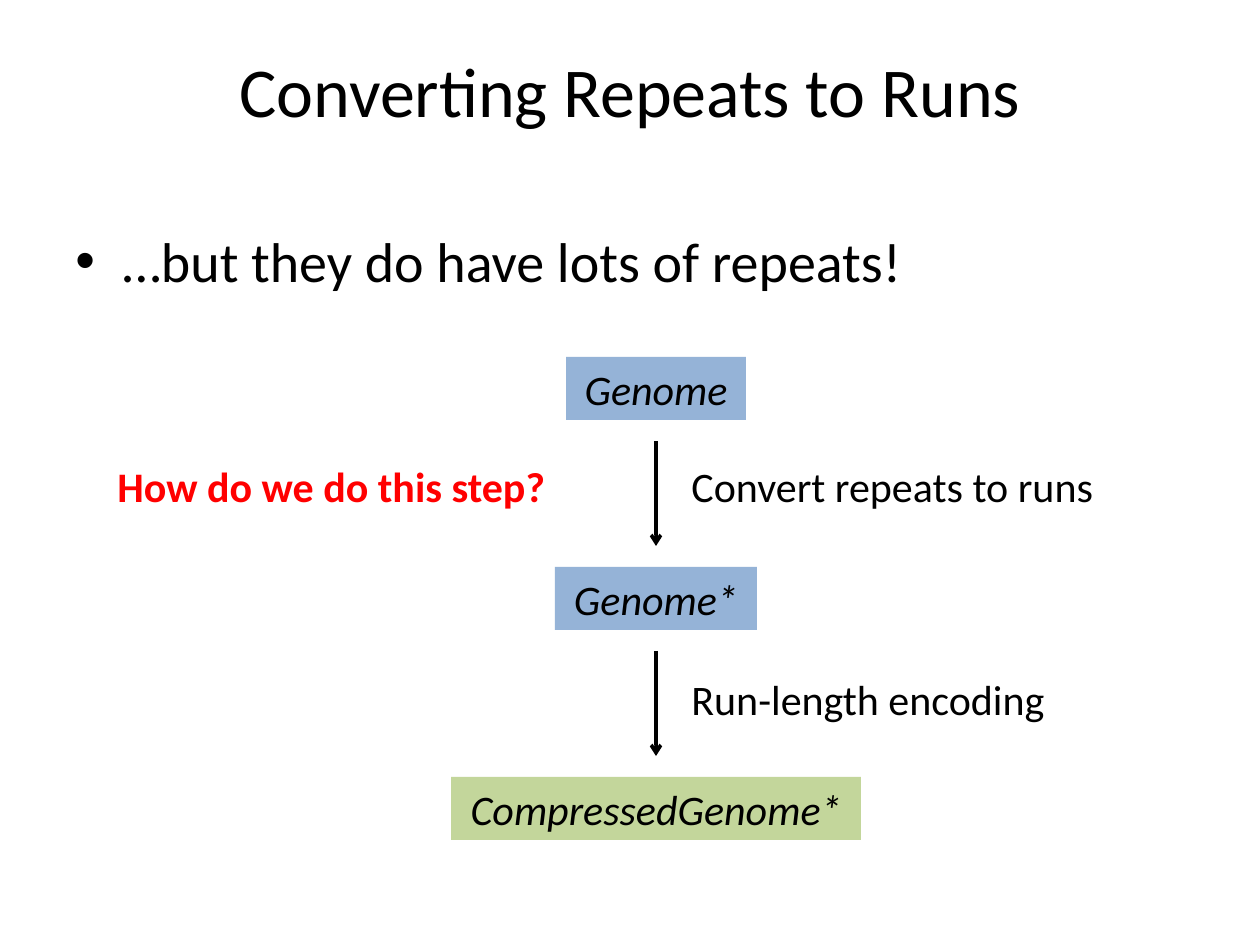
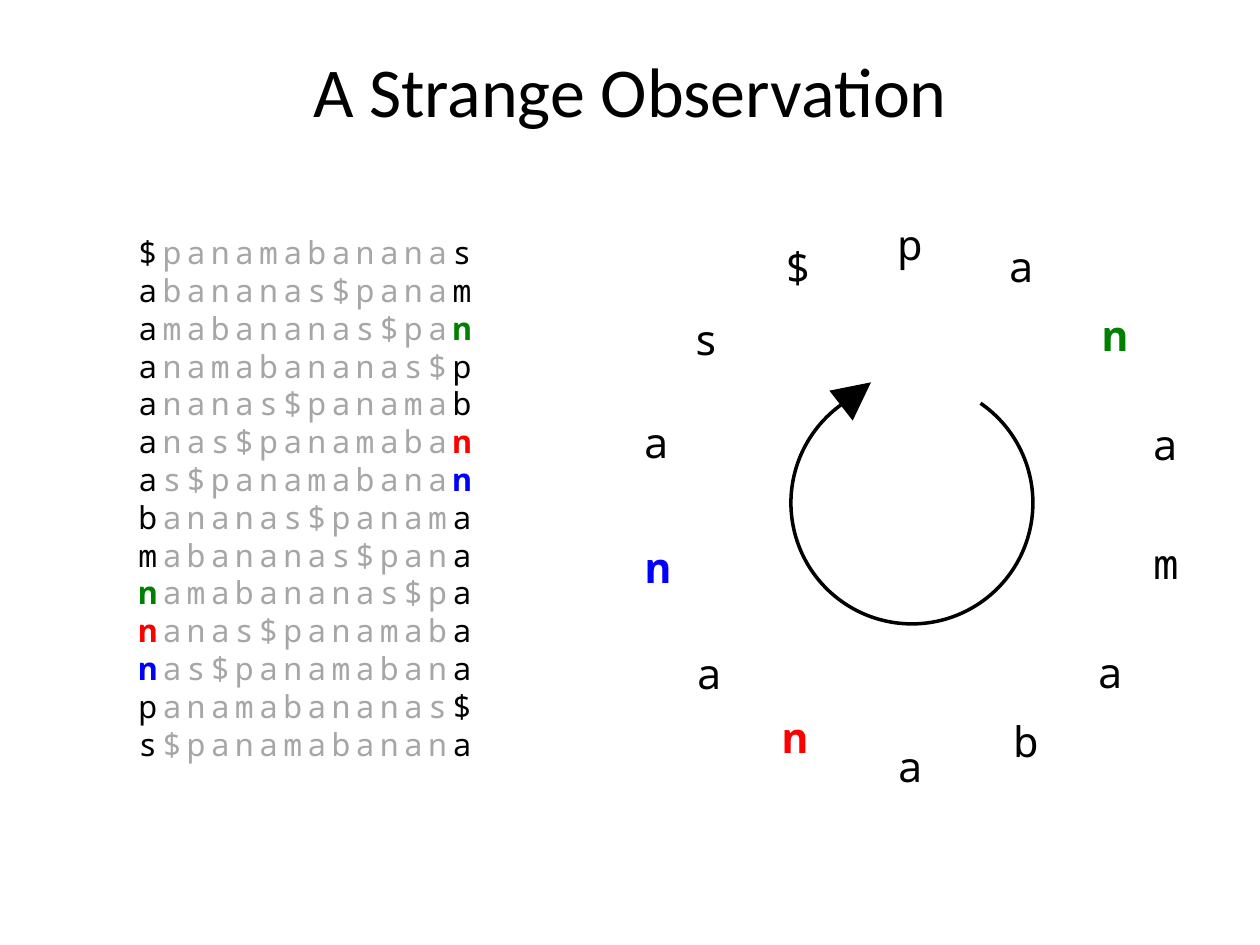
from lxml import etree
from pptx import Presentation
from pptx import util as u
from pptx.dml.color import RGBColor
from pptx.enum import shapes, text
from pptx.oxml import ns

PX_PER_INCH = 126
COLOURS = {
    "ink": "000000",
    "faded": "A6A6A6",
    "source": "95B3D7",
    "result": "C3D69B",
    "red": "FF0000",
    "green": "008000",
    "blue": "0000FF",
}
SANS = "Calibri"
MONO = "Noto Sans Mono"
MONO_LEADING = 1.2
LEFT, CENTER = text.PP_ALIGN.LEFT, text.PP_ALIGN.CENTER

TEXT = "panamabananas$"
# Position of each tracked n in TEXT, and its colour
TRACKED = {2: "green", 8: "red", 10: "blue"}
# Centre of each letter of TEXT around the circle
LETTER_CENTRES = [
    (910, 244), (1021, 266), (1115, 335), (1165, 444), (1166, 563),
    (1110, 672), (1026, 741), (910, 766), (795, 737), (709, 673),
    (658, 567), (656, 442), (706, 339), (798, 267),
]


def px(length):
    return u.Emu(round(length * u.Inches(1) / PX_PER_INCH))


def colour(name):
    return RGBColor.from_string(COLOURS[name])


def add_child(parent, tag, **attributes):
    return etree.SubElement(parent, ns.qn(tag), attributes)


def add_span(para, words, size=24, font=SANS, ink="ink", bold=False,
             italic=False, tracking=0):
    """Append a formatted run; tracking is extra letter spacing in points."""
    span = para.add_run()
    span.text = words
    span.font.size = u.Pt(size)
    span.font.name = font
    span.font.bold = bold
    span.font.italic = italic
    span.font.color.rgb = colour(ink)
    if tracking:
        span.font._element.set("spc", str(tracking * 100))


def write(frame, words, align=LEFT, leading=None, **style):
    """Fill the first paragraph of a text frame."""
    para = frame.paragraphs[0]
    para.alignment = align
    if leading:
        para.line_spacing = u.Pt(leading)
    add_span(para, words, **style)
    return para


def add_text_box(slide, left, top, width, height, wrap=False):
    box = slide.shapes.add_textbox(px(left), px(top), px(width), px(height))
    box.text_frame.word_wrap = wrap
    return box.text_frame


def add_label(slide, left, top, width, words, height=63, **style):
    write(add_text_box(slide, left, top, width, height), words, **style)


def add_bullet(slide, left, top, width, height, words, **style):
    frame = add_text_box(slide, left, top, width, height, wrap=True)
    properties = frame.paragraphs[0]._p.get_or_add_pPr()
    properties.set("marL", str(px(47)))
    properties.set("indent", str(-px(47)))
    add_child(properties, "a:buFont", typeface="Arial")
    add_child(properties, "a:buChar", char="•")
    write(frame, words, **style)


def add_shape(slide, kind, left, top, width, height, fill=None):
    shape = slide.shapes.add_shape(kind, px(left), px(top), px(width), px(height))
    shape.shadow.inherit = False
    shape.line.fill.background()
    if fill:
        shape.fill.solid()
        shape.fill.fore_color.rgb = colour(fill)
    else:
        shape.fill.background()
    return shape


def draw_line(line):
    line.color.rgb = colour("ink")
    line.width = u.Pt(2)


def add_down_arrow(slide, x, top, bottom):
    arrow = slide.shapes.add_connector(
        shapes.MSO_CONNECTOR.STRAIGHT, px(x), px(top), px(x), px(bottom))
    draw_line(arrow.line)
    add_child(arrow.line._get_or_add_ln(), "a:tailEnd", type="arrow")
    add_child(arrow._element.spPr, "a:effectLst")


def add_titled_slide(deck, words):
    slide = deck.slides.add_slide(deck.slide_layouts[5])
    title = slide.shapes.title
    title.left, title.top = px(63), px(10)
    title.width, title.height = px(1134), px(158)
    title.text_frame.vertical_anchor = text.MSO_ANCHOR.MIDDLE
    write(title.text_frame, words, align=CENTER, size=40)
    return slide


def add_pipeline(slide):
    """Stack the genome stages on one axis, with an arrow between neighbours."""
    axis, first_top, pitch, height, gap = 656, 357, 210, 63, 21
    stages = [
        ("Genome", 180, "source"),
        ("Genome*", 202, "source"),
        ("CompressedGenome*", 410, "result"),
    ]
    for index, (name, width, fill) in enumerate(stages):
        top = first_top + index * pitch
        box = add_shape(slide, shapes.MSO_SHAPE.RECTANGLE,
                        axis - width / 2, top, width, height, fill)
        box.text_frame.word_wrap = False
        write(box.text_frame, name, align=CENTER, italic=True)
        if index:
            add_down_arrow(slide, axis, top - pitch + height + gap, top - gap)


def add_rotations(slide):
    """List the sorted rotations of TEXT, fading all but the end columns."""
    frame = add_text_box(slide, 116, 227, 378, 547, wrap=True)
    size = 18
    style = dict(size=size, font=MONO, tracking=3)
    starts = sorted(range(len(TEXT)), key=lambda start: TEXT[start:] + TEXT[:start])
    for row, start in enumerate(starts):
        para = frame.add_paragraph() if row else frame.paragraphs[0]
        para.alignment = CENTER
        para.line_spacing = u.Pt(size * MONO_LEADING)
        rotation = TEXT[start:] + TEXT[:start]
        last = (start - 1) % len(TEXT)
        add_span(para, rotation[0], ink=TRACKED.get(start, "ink"),
                 bold=start in TRACKED, **style)
        add_span(para, rotation[1:-1], ink="faded", **style)
        add_span(para, rotation[-1], ink=TRACKED.get(last, "ink"),
                 bold=last in TRACKED, **style)


def add_letter_circle(slide):
    width, height, size = 50, 63, 24
    for index, (letter, (x, y)) in enumerate(zip(TEXT, LETTER_CENTRES)):
        add_label(slide, x - width / 2, y - height / 2, width, letter,
                  height=height, align=CENTER, size=size, font=MONO,
                  leading=size * MONO_LEADING, ink=TRACKED.get(index, "ink"),
                  bold=index in TRACKED)


def add_turning_arrow(slide):
    arc = add_shape(slide, shapes.MSO_SHAPE.ARC, 791, 382, 242, 242)
    # Angles are in 60000ths of a degree, and adjustments in 100000ths
    for index, degrees in enumerate((304.54, 234.11)):
        arc.adjustments[index] = degrees * 0.6
    draw_line(arc.line)
    head = add_shape(slide, shapes.MSO_SHAPE.ISOSCELES_TRIANGLE,
                     837, 375, 38, 38, "ink")
    head.rotation = 52.1


def main():
    deck = Presentation()
    deck.slide_width, deck.slide_height = px(1260), px(945)

    slide = add_titled_slide(deck, "Converting Repeats to Runs")
    add_bullet(slide, 63, 220, 1134, 624, "…but they do have lots of repeats!", size=32)
    add_pipeline(slide)
    add_label(slide, 679, 667, 383, "Run-length encoding")
    add_label(slide, 679, 454, 433, "Convert repeats to runs")
    add_label(slide, 105, 454, 459, "How do we do this step?", ink="red", bold=True)

    slide = add_titled_slide(deck, "A Strange Observation")
    add_letter_circle(slide)
    add_turning_arrow(slide)
    add_rotations(slide)

    deck.save("out.pptx")


if __name__ == "__main__":
    main()
